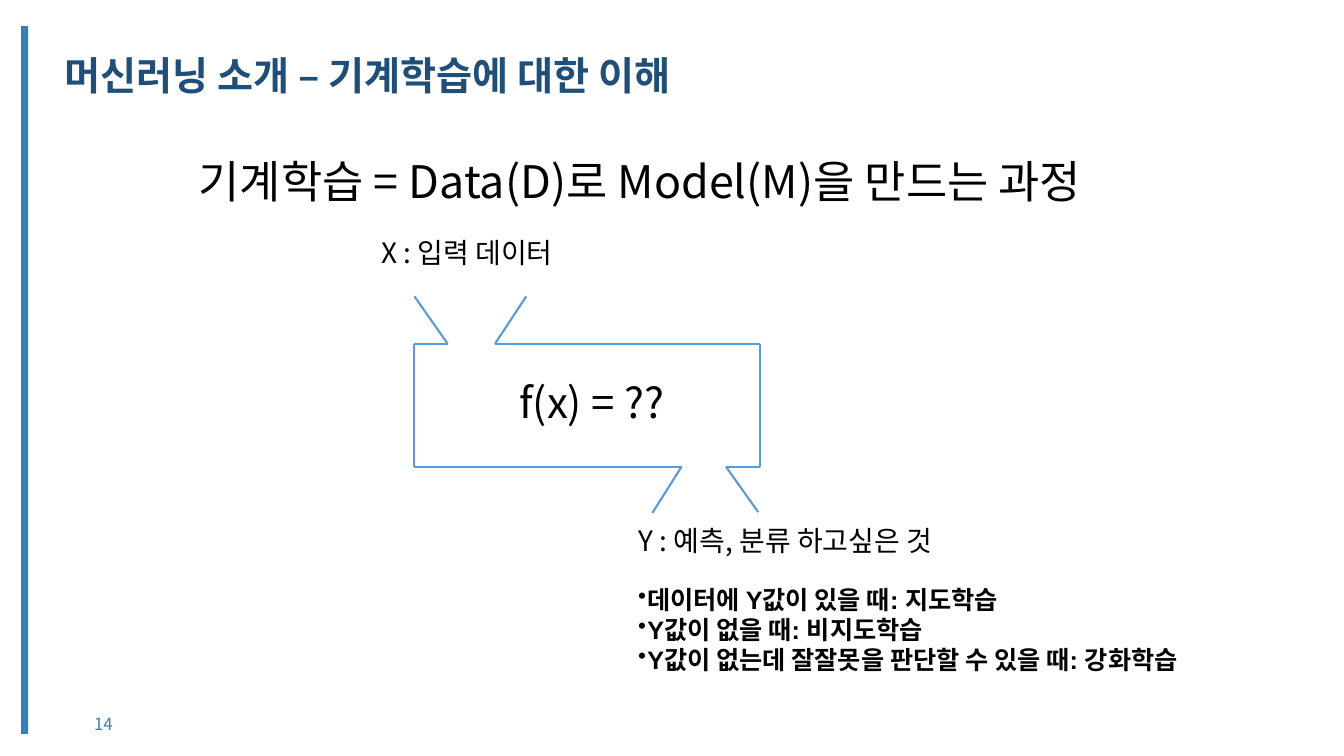
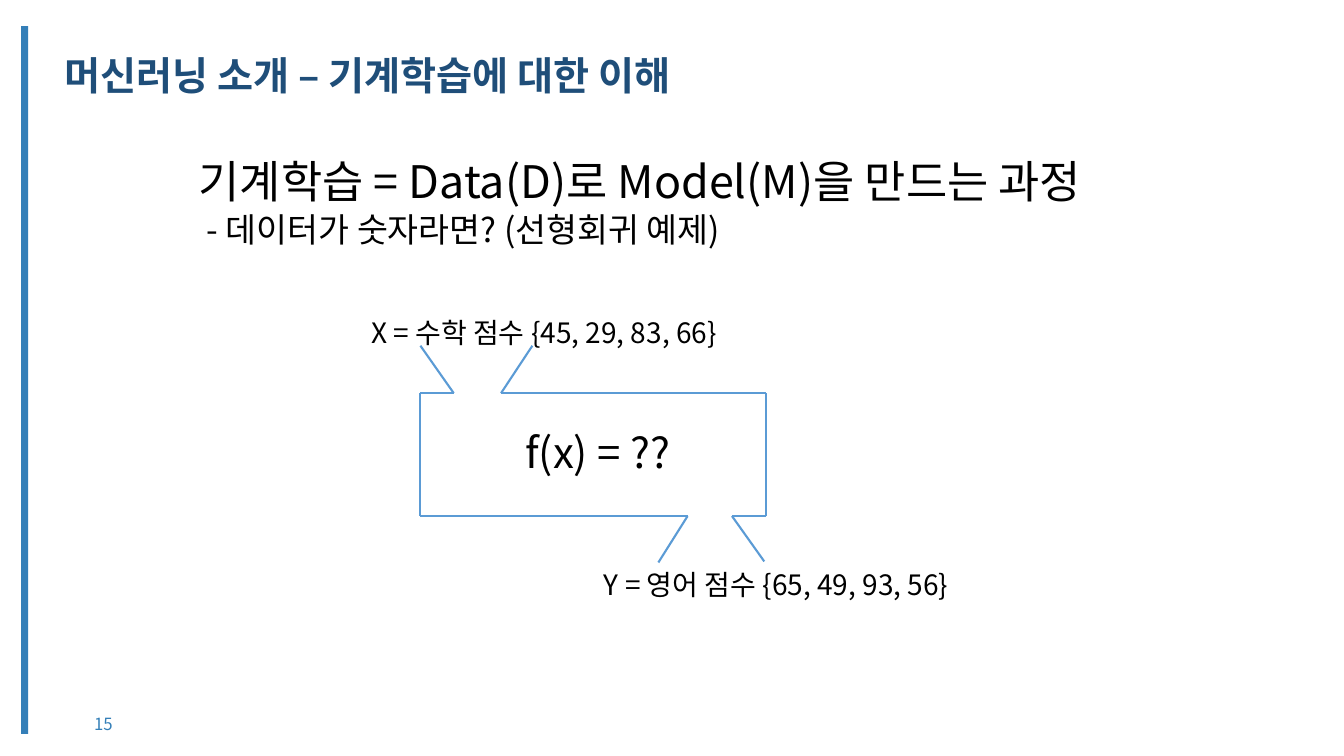
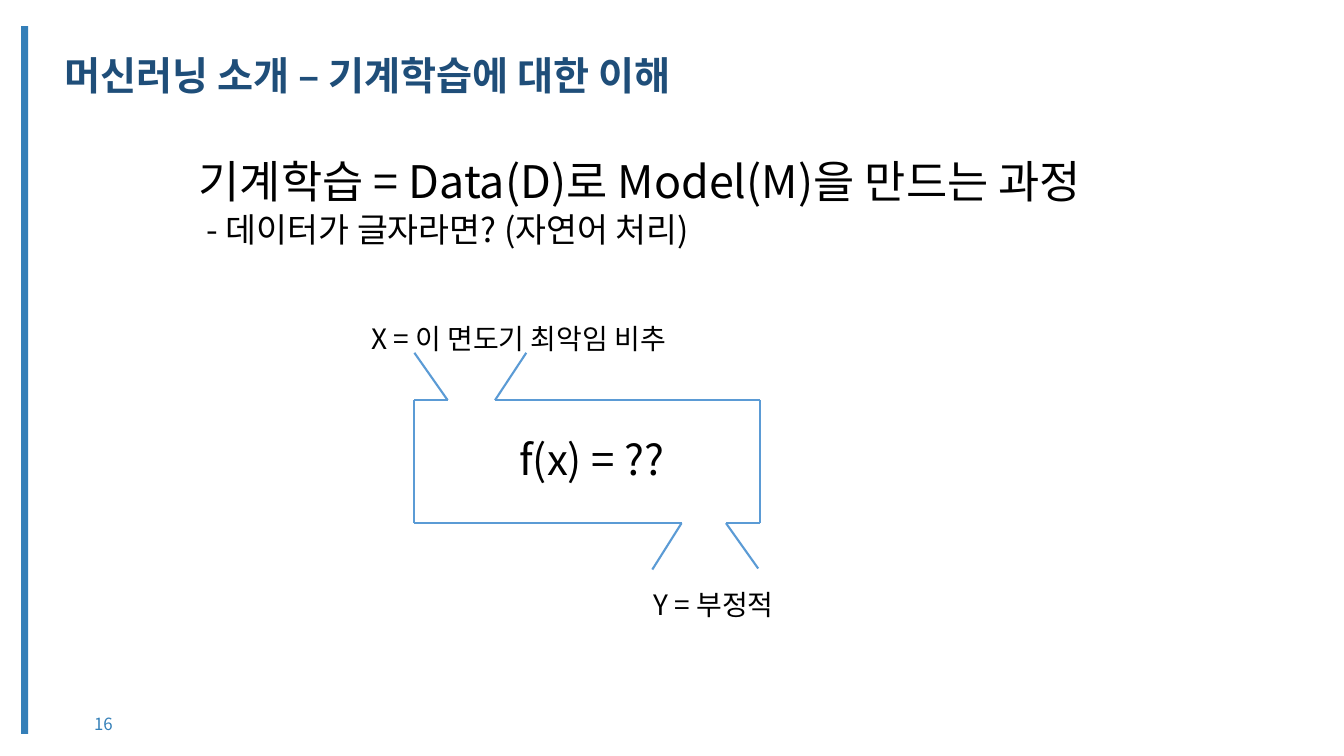
from dataclasses import dataclass
from itertools import pairwise

import lxml.etree
import pptx
import pptx.dml.color
import pptx.enum.shapes
import pptx.enum.text
import pptx.oxml.ns
import pptx.presentation
import pptx.shapes.autoshape
import pptx.slide
import pptx.util

Inches = pptx.util.Inches
Pt = pptx.util.Pt
RGBColor = pptx.dml.color.RGBColor
qn = pptx.oxml.ns.qn

NAVY = RGBColor(0x1F, 0x4E, 0x79)
BLUE = RGBColor(0x34, 0x7F, 0xB8)
OUTLINE = RGBColor(0x5B, 0x9B, 0xD5)
BLACK = RGBColor(0, 0, 0)
FONT = "Noto Sans CJK KR"
LATIN_FONT = "Arial"

TITLE = "머신러닝 소개 – 기계학습에 대한 이해"
HEADLINE = "기계학습 = Data(D)로 Model(M)을 만드는 과정"
FIRST_PAGE = 14
FUNNEL_LEFT = ((0, 0), (0.33, 0.47), (0, 0.47), (0, 1.69), (2.65, 1.69), (2.36, 2.15))
FUNNEL_RIGHT = ((1.11, 0), (0.8, 0.47), (3.43, 0.47), (3.43, 1.69), (3.09, 1.69), (3.41, 2.14))


@dataclass(frozen=True)
class Run:
    text: str
    font: str = FONT


@dataclass(frozen=True)
class Para:
    runs: tuple[Run, ...]
    size: float
    color: RGBColor = BLACK
    bold: bool = False
    left: float = 0
    bullet: bool = False
    before: float = 0
    spacing: object = None
    align: object = None


@dataclass(frozen=True)
class Box:
    left: float
    top: float
    width: float
    height: float
    paras: tuple[Para, ...]
    insets: tuple[float, float] = (0.01, 0.01)
    anchor: object = pptx.enum.text.MSO_ANCHOR.TOP


@dataclass(frozen=True)
class Page:
    funnel: tuple[float, float]
    labels: tuple[Box, ...]
    subtitle: str = ""


def plain(text: str, size: float, **fmt) -> Para:
    return Para((Run(text),), size, **fmt)


def label(left: float, top: float, width: float, text: str) -> Box:
    return Box(left, top, width, 0.36, (plain(text, 20),))


def case(start: tuple[Run, ...], condition: str, kind: str, before: float) -> Para:
    runs = (*start, Run("Y", LATIN_FONT), Run(f"값이 {condition}"), Run(": ", LATIN_FONT), Run(kind))
    return Para(runs, 18, bold=True, left=0.09, bullet=True, before=before, spacing=Pt(21.2))


def add_run(p, run: Run, para: Para) -> None:
    r = p.add_run()
    r.text = run.text
    r.font.color.rgb = para.color
    for name, value in {"size": Pt(para.size), "bold": para.bold, "name": run.font}.items():
        setattr(r.font, name, value)
    ea = lxml.etree.SubElement(r.font._element, qn("a:ea"))
    ea.set("typeface", FONT)


def add_text(s: pptx.slide.Slide, box: Box) -> None:
    tb = s.shapes.add_textbox(Inches(box.left), Inches(box.top), Inches(box.width), Inches(box.height))
    tf = tb.text_frame
    side, top = (Inches(v) for v in box.insets)
    frame = {
        "word_wrap": True,
        "vertical_anchor": box.anchor,
        "margin_left": side,
        "margin_right": side,
        "margin_top": top,
        "margin_bottom": top,
    }
    for name, value in frame.items():
        setattr(tf, name, value)
    for i, para in enumerate(box.paras):
        p = tf.add_paragraph() if i else tf.paragraphs[0]
        pPr = p._p.get_or_add_pPr()
        pPr.set("marL", str(Inches(para.left)))
        if para.bullet:
            pPr.set("indent", str(-Inches(para.left)))
            lxml.etree.SubElement(pPr, qn("a:buSzPct")).set("val", "94000")
            lxml.etree.SubElement(pPr, qn("a:buChar")).set("char", "•")
        layout = {"alignment": para.align, "line_spacing": para.spacing}
        if i:
            layout["space_before"] = Pt(para.before)
        for name, value in layout.items():
            setattr(p, name, value)
        for run in para.runs:
            add_run(p, run, para)


def add_frame(s: pptx.slide.Slide, number: int) -> None:
    bar = s.shapes.add_shape(
        pptx.enum.shapes.MSO_SHAPE.RECTANGLE, Inches(0.21), Inches(0.26), Inches(0.07), Inches(7.02)
    )
    bar.shadow.inherit = False
    bar.fill.solid()
    bar.fill.fore_color.rgb = BLUE
    bar.line.fill.background()
    title = plain(TITLE, 28, color=NAVY, bold=True, spacing=0.9)
    add_text(s, Box(0.6, 0.52, 12.25, 0.88, (title,), (0.04, 0.04)))
    page = plain(str(number), 12, color=BLUE, align=pptx.enum.text.PP_ALIGN.CENTER)
    add_text(s, Box(0.6, 7.09, 0.85, 0.18, (page,), (0.1, 0.05), pptx.enum.text.MSO_ANCHOR.MIDDLE))


def add_funnel(s: pptx.slide.Slide, left: float, top: float) -> None:
    for points in (FUNNEL_LEFT, FUNNEL_RIGHT):
        for (x1, y1), (x2, y2) in pairwise(points):
            line = s.shapes.add_connector(
                pptx.enum.shapes.MSO_CONNECTOR.STRAIGHT,
                Inches(left + x1), Inches(top + y1), Inches(left + x2), Inches(top + y2),
            )
            line.line.color.rgb = OUTLINE
            line.line.width = Pt(1.5)
            lxml.etree.SubElement(line._element.spPr, qn("a:effectLst"))
    add_text(s, Box(left + 1.03, top + 0.79, 1.57, 0.53, (plain("f(x) = ??", 30),)))


def add_page(prs: pptx.presentation.Presentation, number: int, page: Page) -> None:
    s = prs.slides.add_slide(prs.slide_layouts[6])
    add_frame(s, number)
    head = (plain(HEADLINE, 32),)
    if page.subtitle:
        head += (plain(f"- {page.subtitle}", 24, left=0.08, before=1),)
    add_text(s, Box(1.96, 1.52, 9.71, 0.97 if page.subtitle else 0.56, head))
    add_funnel(s, *page.funnel)
    for box in page.labels:
        add_text(s, box)


PAGES = (
    Page((4.11, 2.94), (
        label(3.77, 2.33, 1.94, "X : 입력 데이터"),
        Box(6.32, 5.18, 5.85, 1.54, (
            plain("Y : 예측, 분류 하고싶은 것", 20),
            case((Run("데이터에 "),), "있을 때", "지도학습", 20),
            case((), "없을 때", "비지도학습", 0),
            case((), "없는데 잘잘못을 판단할 수 있을 때", "강화학습", 0.5),
        )),
    )),
    Page((4.17, 3.43), (
        label(3.67, 3.12, 3.75, "X = 수학 점수 {45, 29, 83, 66}"),
        label(5.98, 5.62, 3.74, "Y = 영어 점수 {65, 49, 93, 56}"),
    ), "데이터가 숫자라면? (선형회귀 예제)"),
    Page((4.11, 3.5), (
        label(3.67, 3.18, 3.38, "X = 이 면도기 최악임 비추"),
        label(6.47, 5.82, 1.41, "Y = 부정적"),
    ), "데이터가 글자라면? (자연어 처리)"),
)


def main() -> None:
    prs = pptx.Presentation()
    prs.slide_width = Inches(13.33)
    prs.slide_height = Inches(7.5)
    for number, page in enumerate(PAGES, FIRST_PAGE):
        add_page(prs, number, page)
    prs.save("out.pptx")


if __name__ == "__main__":
    main()
